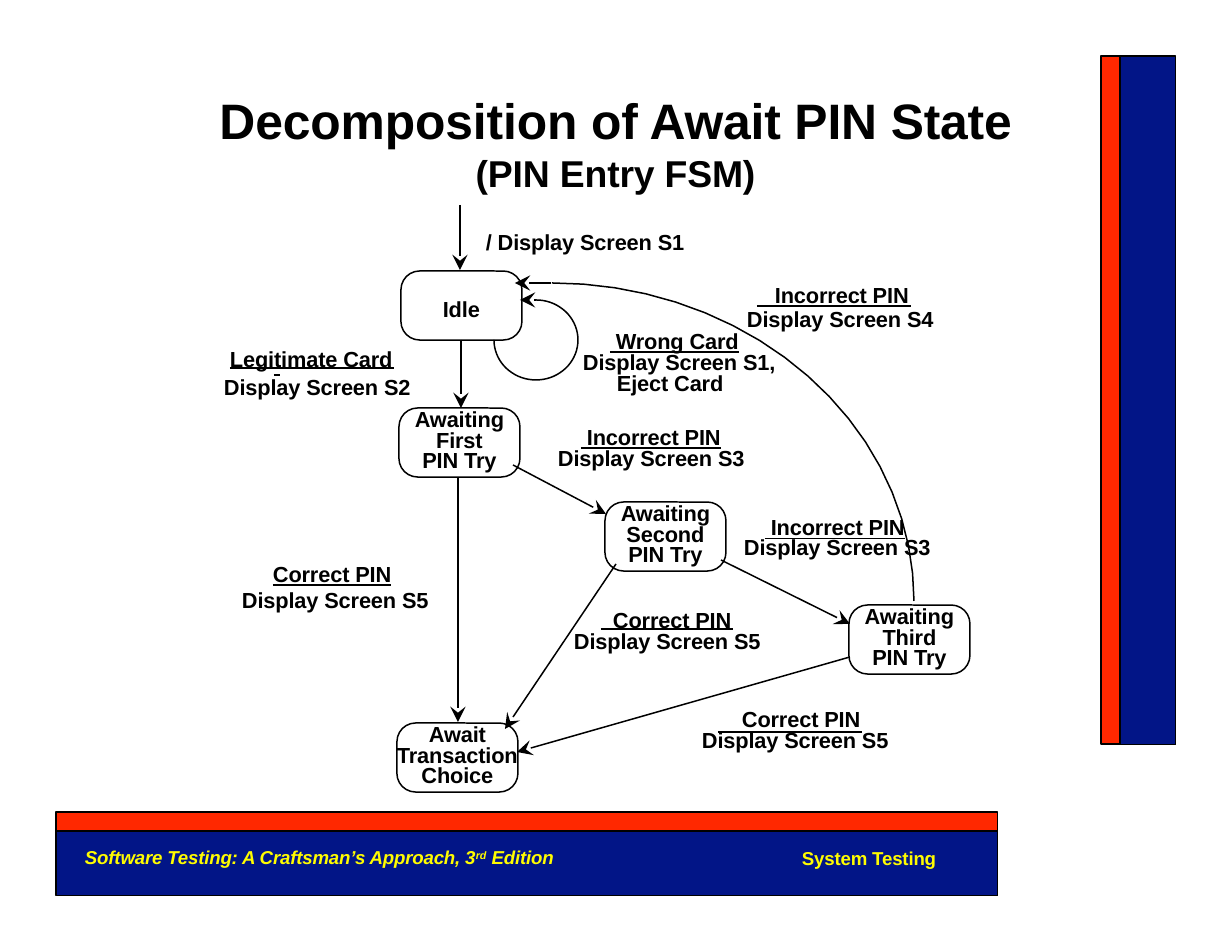
from dataclasses import dataclass
from math import cos, radians, sin

from lxml.etree import SubElement
from pptx import Presentation
from pptx.dml.color import RGBColor
from pptx.enum.shapes import MSO_CONNECTOR, MSO_SHAPE
from pptx.enum.text import MSO_ANCHOR, MSO_AUTO_SIZE, PP_ALIGN
from pptx.oxml.ns import qn
from pptx.util import Pt

PX_PER_INCH = 112
BLACK, NAVY, RED, YELLOW = "000000", "021587", "FF2800", "FFFC00"
STATE_W, STATE_H, STATE_PITCH = 121, 69, 20.5
FONT_HEIGHT, FONT_ASCENT = 25, 20  # one 14 pt line
LABEL_W = 200


@dataclass
class State:
    name: str
    left: int
    top: int


@dataclass
class Label:
    """Lines of (text, left), set on baselines that lie pitch px apart."""
    lines: list
    baseline: int
    pitch: int
    underlined: bool = False


STATES = [
    State("Idle", 401, 271),
    State("Awaiting\nFirst\nPIN Try", 399, 408),
    State("Awaiting\nSecond\nPIN Try", 605, 502),
    State("Awaiting\nThird\nPIN Try", 849, 605),
    State("Await\nTransaction\nChoice", 397, 723),
]
LABELS = [
    Label([("/ Display Screen S1", 486)], 250, 25),
    Label([("Legitimate Card", 230), ("Display Screen S2", 224)], 367, 28),
    Label([(" Wrong Card", 610), ("Display Screen S1,", 583), ("Eject Card", 617)],
          349, 21, True),
    Label([("Incorrect PIN", 775), ("Display Screen S4", 747)], 303, 24),
    Label([(" Incorrect PIN", 581), ("Display Screen S3", 558)], 445, 21, True),
    Label([(" Incorrect PIN", 765), ("Display Screen S3", 744)], 535, 20, True),
    Label([("Correct PIN", 273), ("Display Screen S5", 242)], 582, 26, True),
    Label([("Correct PIN", 613), ("Display Screen S5", 574)], 628, 21),
    Label([("Correct PIN", 742), ("Display Screen S5", 702)], 727, 21),
]
# Underlines drawn as lines: left, right, y
RULES = [(230, 394, 368), (274, 280, 375), (293, 300, 585),
         (601, 733, 629), (718, 862, 732), (757, 911, 306)]
# Transitions: start x, start y, tip x, tip y
TRANSITIONS = [
    (460, 205, 460, 270), (461, 340, 461, 408), (513, 465, 606, 514),
    (458, 478, 458, 722), (721, 560, 850, 624), (616, 564, 505, 729),
    (850, 657, 517, 752), (551, 283, 515, 283), (536, 300, 520, 300),
]
# Bands: left, top, width, height, fill
BANDS = [(1120, 56, 56, 689, NAVY), (1101, 56, 19, 688, RED),
         (56, 831, 942, 65, NAVY), (56, 812, 942, 19, RED)]


def px(length: float) -> int:
    return round(length * 914400 / PX_PER_INCH)


def px_to_pt(length: float):
    return Pt(round(length * 72 / PX_PER_INCH, 1))


def color(hex_value: str) -> RGBColor:
    return RGBColor.from_string(hex_value)


def write(paragraph, text: str, *, size=14, fill=BLACK, bold=True, italic=False,
          underline=False, raised=False) -> None:
    run = paragraph.add_run()
    run.text = text
    font = run.font
    font.name, font.size, font.bold, font.italic = "Arial", Pt(size), bold, italic
    font.underline = underline
    font.color.rgb = color(fill)
    properties = run._r.get_or_add_rPr()
    properties.set("spc", "-10")
    if raised:
        properties.set("baseline", "28000")


def clear_frame(shape, wrap=True, anchor=MSO_ANCHOR.TOP):
    frame = shape.text_frame
    frame.margin_left = frame.margin_right = frame.margin_top = frame.margin_bottom = 0
    frame.word_wrap = wrap
    frame.auto_size = MSO_AUTO_SIZE.NONE
    frame.vertical_anchor = anchor
    return frame


def next_paragraph(frame, index: int):
    return frame.add_paragraph() if index else frame.paragraphs[0]


def text_box(slide, left, top, width, height):
    return clear_frame(slide.shapes.add_textbox(px(left), px(top), px(width), px(height)))


def outline(shape, points=0.96) -> None:
    shape.line.color.rgb = color(BLACK)
    shape.line.width = Pt(points)


def draw_band(slide, left, top, width, height, fill) -> None:
    band = slide.shapes.add_shape(MSO_SHAPE.RECTANGLE, px(left), px(top), px(width), px(height))
    band.shadow.inherit = False
    band.fill.solid()
    band.fill.fore_color.rgb = color(fill)
    outline(band, 0.72)


def draw_state(slide, state: State) -> None:
    box = slide.shapes.add_shape(MSO_SHAPE.ROUNDED_RECTANGLE, px(state.left), px(state.top),
                                 px(STATE_W), px(STATE_H))
    box.adjustments[0] = 0.27
    box.shadow.inherit = False
    box.fill.background()
    outline(box)
    frame = clear_frame(box, wrap=False, anchor=MSO_ANCHOR.MIDDLE)
    names = state.name.split("\n")
    if len(names) == 1:
        frame.margin_top = px(6)
    for index, name in enumerate(names):
        paragraph = next_paragraph(frame, index)
        paragraph.alignment = PP_ALIGN.CENTER
        if len(names) > 1:
            paragraph.line_spacing = px_to_pt(STATE_PITCH)
        write(paragraph, name)


def draw_label(slide, label: Label) -> None:
    left = min(x for _, x in label.lines)
    top = label.baseline - FONT_ASCENT + FONT_HEIGHT - label.pitch
    frame = text_box(slide, left, top, LABEL_W, label.pitch * len(label.lines))
    for index, (text, x) in enumerate(label.lines):
        paragraph = next_paragraph(frame, index)
        paragraph.line_spacing = px_to_pt(label.pitch)
        paragraph._p.get_or_add_pPr().set("marL", str(px(x - left)))
        write(paragraph, text, underline=label.underlined and index == 0)


def draw_line(slide, x1, y1, x2, y2, points=0.96, arrow=False) -> None:
    line = slide.shapes.add_connector(MSO_CONNECTOR.STRAIGHT, px(x1), px(y1), px(x2), px(y2))
    outline(line, points)
    if arrow:
        SubElement(line.line._get_or_add_ln(), qn("a:tailEnd"), type="stealth", w="lg", len="lg")
    SubElement(line._element.spPr, qn("a:effectLst"))


def draw_arc(slide, center_x, center_y, radius_x, radius_y, start, end) -> None:
    """Arc in degrees, clockwise from the right-hand side."""
    step = 5
    points = [(px(center_x + radius_x * cos(radians(angle))),
               px(center_y + radius_y * sin(radians(angle))))
              for angle in range(start, end + step, step)]
    builder = slide.shapes.build_freeform(*points[0])
    builder.add_line_segments(points[1:], close=False)
    arc = builder.convert_to_shape()
    arc.shadow.inherit = False
    arc.fill.background()
    outline(arc)


def main() -> None:
    deck = Presentation()
    deck.slide_width, deck.slide_height = px(1232), px(952)
    slide = deck.slides.add_slide(deck.slide_layouts[5])

    # Side and bottom bands
    for band in BANDS:
        draw_band(slide, *band)

    # Title
    title = slide.shapes.title
    title.left, title.top, title.width, title.height = px(175), px(90), px(881), px(99)
    frame = clear_frame(title)
    for index, (text, size) in enumerate([("Decomposition of Await PIN State", 32),
                                          ("(PIN Entry FSM)", 24)]):
        paragraph = next_paragraph(frame, index)
        paragraph.alignment = PP_ALIGN.CENTER
        write(paragraph, text, size=size)

    # State machine
    for state in STATES:
        draw_state(slide, state)
    draw_arc(slide, 552, 601, 362, 318, -90, 0)
    draw_arc(slide, 536, 340, 42, 40, -90, 180)
    for transition in TRANSITIONS:
        draw_line(slide, *transition, arrow=True)
    for label in LABELS:
        draw_label(slide, label)
    for left, right, y in RULES:
        draw_line(slide, left, y, right, y, points=0.72)

    # Footer
    book = text_box(slide, 85, 846, 486, 24).paragraphs[0]
    for text, raised in [("Software Testing: A Craftsman’s Approach, 3", False),
                         ("rd", True), (" Edition", False)]:
        write(book, text, size=12, fill=YELLOW, italic=True, raised=raised)
    chapter = text_box(slide, 802, 847, 141, 21).paragraphs[0]
    write(chapter, "System Testing", size=12, fill=YELLOW)

    deck.save("out.pptx")


if __name__ == "__main__":
    main()
